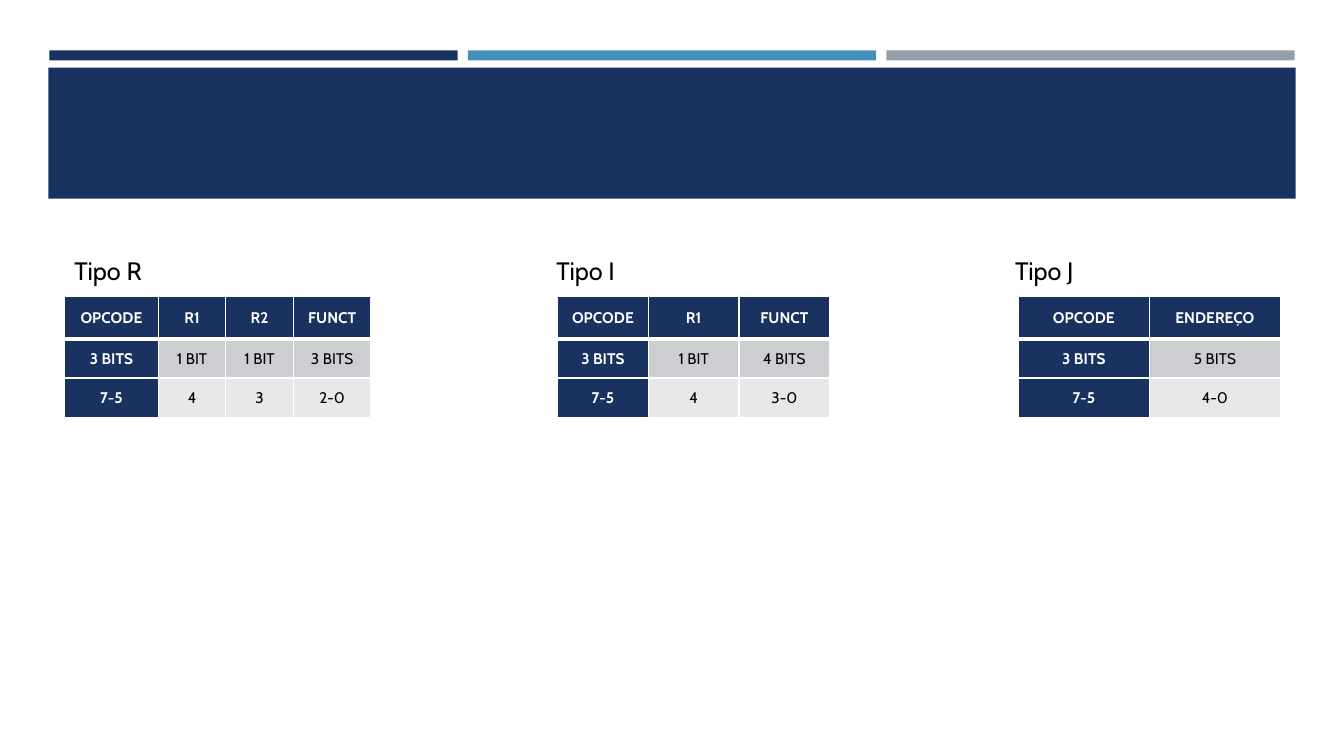
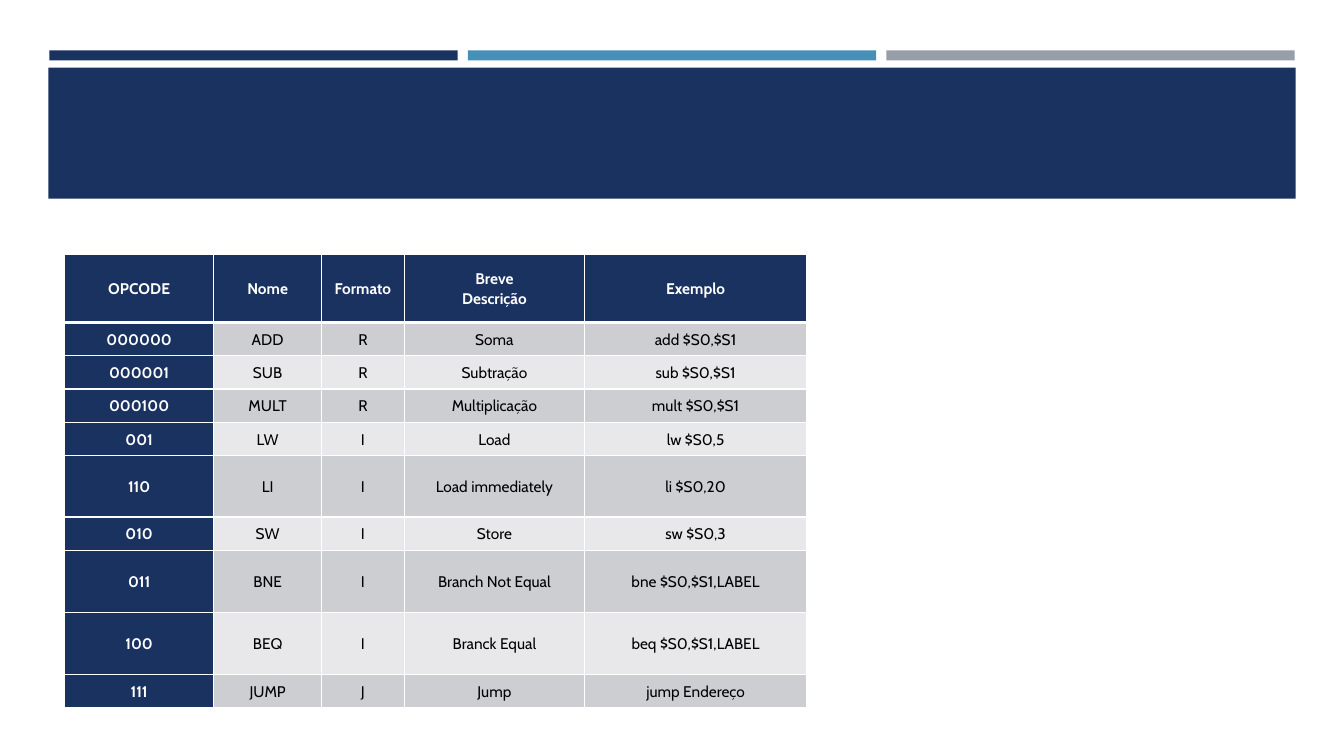
import pptx
import pptx.dml.color
import pptx.enum.shapes
import pptx.enum.text
import pptx.oxml
import pptx.oxml.ns
import pptx.util

Inches = pptx.util.Inches
Pt = pptx.util.Pt

COLORS = {
    "navy": "1A3260",
    "blue": "4590B8",
    "gray": "969FA7",
    "odd_row": "CDCED2",
    "even_row": "E8E8EA",
    "white": "FFFFFF",
    "black": "000000",
}
FONT = "Cabin"
LEFT = 0.64


def rgb(name):
    return pptx.dml.color.RGBColor.from_string(COLORS[name])


def write(frame, text, size=11, color="black", bold=False, align=None, spacing=None):
    """Fill a text frame, with one paragraph for each line of text."""
    frame.text = text
    for para in frame.paragraphs:
        para.alignment = align
        para.line_spacing = spacing
        for span in para.runs:
            span.font.name = FONT
            span.font.size = Pt(size)
            span.font.bold = bold
            span.font.color.rgb = rgb(color)


def add_borders(cell, **widths):
    """Draw white cell borders; widths in points are keyed by side: L, R, T, B."""
    properties = cell._tc.get_or_add_tcPr()
    for side, width in widths.items():
        properties.append(pptx.oxml.parse_xml(
            f'<a:ln{side} {pptx.oxml.ns.nsdecls("a")} w="{Pt(width)}"><a:solidFill>'
            f'<a:srgbClr val="{COLORS["white"]}"/></a:solidFill></a:ln{side}>'))


class Slides:
    def __init__(self):
        self.deck = pptx.Presentation()
        self.deck.slide_width = Inches(13.33)
        self.deck.slide_height = Inches(7.5)
        self.page = None

    def add_page(self):
        """Start a blank slide with the three stripes and the title band."""
        self.page = self.deck.slides.add_slide(self.deck.slide_layouts[6])
        for index, color in enumerate(("navy", "blue", "gray")):
            self.add_band(0.49 + index * 4.15, 0.5, 4.05, 0.1, color)
        self.add_band(0.48, 0.67, 12.37, 1.3, "navy")

    def add_band(self, left, top, width, height, color):
        band = self.page.shapes.add_shape(
            pptx.enum.shapes.MSO_SHAPE.RECTANGLE,
            Inches(left), Inches(top), Inches(width), Inches(height))
        band.shadow.inherit = False
        band.fill.solid()
        band.fill.fore_color.rgb = rgb(color)
        band.line.fill.background()

    def add_label(self, text, left, top):
        box = self.page.shapes.add_textbox(
            Inches(left), Inches(top), Inches(2.5), Inches(0.4))
        box.text_frame.word_wrap = True
        write(box.text_frame, text, size=18)

    def add_table(self, left, top, widths, heights, rows):
        """Add a table with a navy first row and column and banded body rows."""
        table = self.page.shapes.add_table(
            len(rows), len(widths), Inches(left), Inches(top),
            Inches(sum(widths)), Inches(sum(heights))).table
        table.first_row = table.horz_banding = False
        for column, width in zip(table.columns, widths):
            column.width = Inches(width)
        for line, height in zip(table.rows, heights):
            line.height = Inches(height)
        for r, row in enumerate(rows):
            for c, text in enumerate(row):
                self.fill_cell(table.cell(r, c), text, r, c)

    def fill_cell(self, cell, text, row, column):
        heading = row == 0 or column == 0
        cell.margin_left = cell.margin_right = Inches(0.07)
        cell.margin_top = cell.margin_bottom = 0
        cell.vertical_anchor = pptx.enum.text.MSO_ANCHOR.MIDDLE
        add_borders(cell, L=1, R=1, T=3 if row == 1 else 1, B=3 if row == 0 else 1)
        cell.fill.solid()
        band = "odd_row" if row % 2 else "even_row"
        cell.fill.fore_color.rgb = rgb("navy" if heading else band)
        write(cell.text_frame, text, color="white" if heading else "black",
              bold=heading, align=pptx.enum.text.PP_ALIGN.CENTER, spacing=1.07)


# label, label left, table left, column widths, rows
FORMATS = [
    ("Tipo R", LEFT, LEFT, [0.93, 0.67, 0.67, 0.77], [
        ("OPCODE", "R1", "R2", "FUNCT"),
        ("3 BITS", "1 BIT", "1 BIT", "3 BITS"),
        ("7-5", "4", "3", "2-0"),
    ]),
    ("Tipo I", 5.42, 5.53, [0.9] * 3, [
        ("OPCODE", "R1", "FUNCT"),
        ("3 BITS", "1 BIT", "4 BITS"),
        ("7-5", "4", "3-0"),
    ]),
    ("Tipo J", 9.97, 10.1, [1.3] * 2, [
        ("OPCODE", "ENDEREÇO"),
        ("3 BITS", "5 BITS"),
        ("7-5", "4-0"),
    ]),
]

INSTRUCTIONS = [
    ("OPCODE", "Nome", "Formato", "Breve\nDescrição", "Exemplo"),
    ("000000", "ADD", "R", "Soma", "add $S0,$S1"),
    ("000001", "SUB", "R", "Subtração", "sub $S0,$S1"),
    ("000100", "MULT", "R", "Multiplicação", "mult $S0,$S1"),
    ("001", "LW", "I", "Load", "lw $S0,5"),
    ("110", "LI", "I", "Load immediately", "li $S0,20"),
    ("010", "SW", "I", "Store", "sw $S0,3"),
    ("011", "BNE", "I", "Branch Not Equal", "bne $S0,$S1,LABEL"),
    ("100", "BEQ", "I", "Branck Equal", "beq $S0,$S1,LABEL"),
    ("111", "JUMP", "J", "Jump", "jump Endereço"),
]


def main():
    slides = Slides()

    slides.add_page()
    for label, label_left, table_left, widths, rows in FORMATS:
        slides.add_table(table_left, 2.94, widths, [0.42, 0.39, 0.39], rows)
        slides.add_label(label, label_left, 2.48)

    slides.add_page()
    heights = [0.68] + [0.33] * 4 + [0.61, 0.33, 0.62, 0.61, 0.33]
    slides.add_table(LEFT, 2.52, [1.48, 1.07, 0.82, 1.79, 2.2], heights, INSTRUCTIONS)

    slides.deck.save("out.pptx")


if __name__ == "__main__":
    main()
